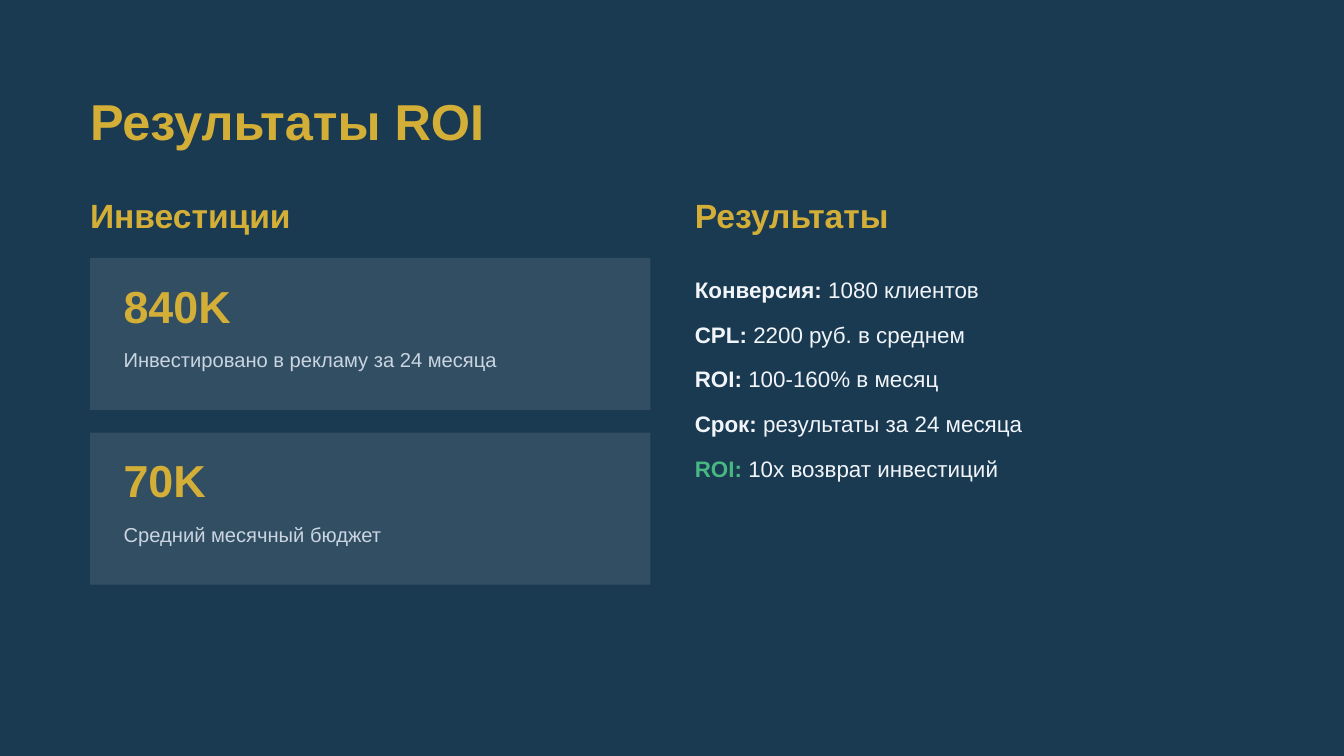
from lxml.etree import SubElement
from pptx import Presentation
from pptx.dml.color import RGBColor
from pptx.enum.shapes import MSO_SHAPE as Preset
from pptx.enum.text import MSO_ANCHOR as Anchor, MSO_AUTO_SIZE as AutoSize, PP_ALIGN as Align
from pptx.oxml.ns import qn
from pptx.util import Inches, Pt

COLORS = {
    "background": "1A3A52",
    "gold": "D4AF37",
    "panel": "FFFFFF",
    "caption": "CBD5E1",
    "body": "F1F5F9",
    "green": "47B881",
}
LEFT = 0.67
RIGHT = 5.17
CARDS = [
    ("840K", "Инвестировано в рекламу за 24 месяца"),
    ("70K", "Средний месячный бюджет"),
]
RESULTS = [
    ("Конверсия:", " 1080 клиентов", "body"),
    ("CPL:", " 2200 руб. в среднем", "body"),
    ("ROI:", " 100-160% в месяц", "body"),
    ("Срок:", " результаты за 24 месяца", "body"),
    ("ROI:", " 10x возврат инвестиций", "green"),
]


def rgb(name):
    return RGBColor.from_string(COLORS[name])


def write(paragraph, text, *, size, color, bold=False, spacing):
    paragraph.alignment = Align.LEFT
    paragraph.line_spacing = Pt(spacing)
    run = paragraph.add_run()
    run.text = text
    run.font.name = "Arial"
    run.font.size = Pt(size)
    run.font.bold = bold
    run.font.color.rgb = rgb(color)


def prepare_frame(holder):
    frame = holder.text_frame
    frame.margin_left = frame.margin_top = frame.margin_right = frame.margin_bottom = 0
    frame.word_wrap = True
    frame.auto_size = AutoSize.NONE
    frame.vertical_anchor = Anchor.TOP
    return frame


def add_frame(slide, left, top, width, height):
    return prepare_frame(slide.shapes.add_textbox(
        Inches(left), Inches(top), Inches(width), Inches(height)))


def add_title(slide, text):
    title = slide.shapes.title
    title.left, title.top = Inches(LEFT), Inches(0.67)
    title.width, title.height = Inches(8.84), Inches(0.45)
    write(prepare_frame(title).paragraphs[0], text,
          size=27, color="gold", bold=True, spacing=32.4)


def add_heading(slide, text, left):
    heading = add_frame(slide, left, 1.45, 4.25, 0.3)
    write(heading.paragraphs[0], text, size=18, color="gold", bold=True, spacing=21.6)


def add_card(slide, top, amount, caption):
    panel = slide.shapes.add_shape(
        Preset.RECTANGLE, Inches(LEFT), Inches(top), Inches(4.17), Inches(1.13))
    panel.shadow.inherit = False
    panel.line.fill.background()
    panel.fill.solid()
    panel.fill.fore_color.rgb = rgb("panel")
    tint = panel.fill._xPr.find(qn("a:solidFill"))[0]
    SubElement(tint, qn("a:alpha"), val="10000")

    inset = LEFT + 0.25
    write(add_frame(slide, inset, top + 0.25, 3.74, 0.38).paragraphs[0], amount,
          size=24, color="gold", bold=True, spacing=21.6)
    write(add_frame(slide, inset, top + 0.71, 3.74, 0.17).paragraphs[0], caption,
          size=10.8, color="caption", spacing=9.7)


def add_results(slide):
    frame = add_frame(slide, RIGHT, 1.92, 4.17, 2.17)
    for index, (label, value, label_color) in enumerate(RESULTS):
        paragraph = frame.add_paragraph() if index else frame.paragraphs[0]
        write(paragraph, label, size=12, color=label_color, bold=True, spacing=24)
        write(paragraph, value, size=12, color="body", spacing=24)


def main():
    deck = Presentation()
    deck.slide_width = Inches(10)
    deck.slide_height = deck.slide_width * 9 // 16
    slide = deck.slides.add_slide(deck.slide_layouts[5])
    slide.background.fill.solid()
    slide.background.fill.fore_color.rgb = rgb("background")

    add_title(slide, "Результаты ROI")
    add_heading(slide, "Инвестиции", LEFT)
    for index, (amount, caption) in enumerate(CARDS):
        add_card(slide, 1.92 + 1.3 * index, amount, caption)
    add_heading(slide, "Результаты", RIGHT)
    add_results(slide)
    deck.save("out.pptx")


if __name__ == "__main__":
    main()
